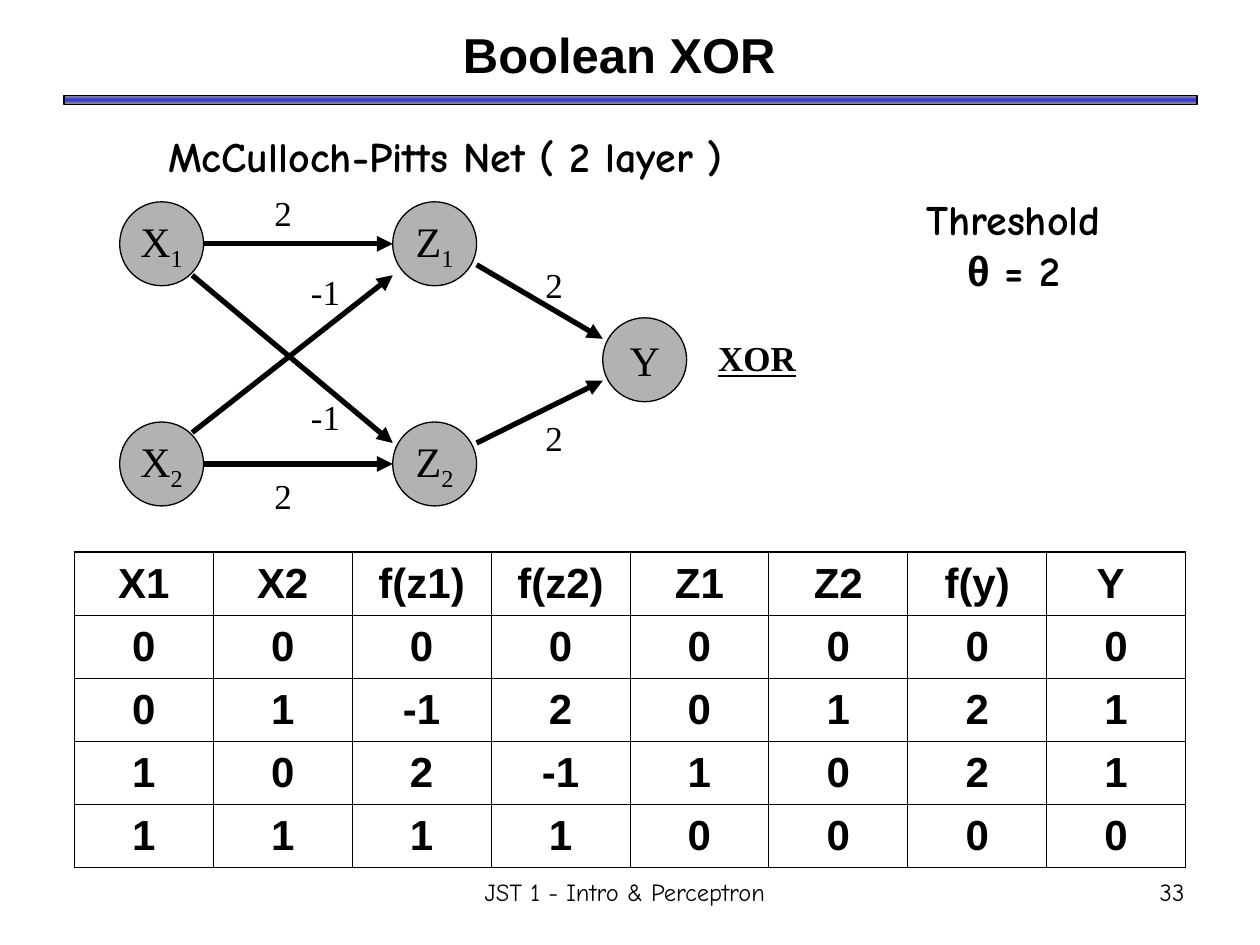
from copy import deepcopy

from lxml import etree
from pptx import Presentation
from pptx.dml.color import RGBColor
from pptx.enum.shapes import MSO_CONNECTOR, MSO_SHAPE
from pptx.enum.text import MSO_ANCHOR, MSO_AUTO_SIZE, PP_ALIGN
from pptx.oxml.ns import qn
from pptx.util import Inches, Pt

STRAIGHT = MSO_CONNECTOR.STRAIGHT
ELLIPSE, RECTANGLE = MSO_SHAPE.OVAL, MSO_SHAPE.RECTANGLE
TOP, MIDDLE = MSO_ANCHOR.TOP, MSO_ANCHOR.MIDDLE
NO_RESIZE = MSO_AUTO_SIZE.NONE
LEFT, CENTER, RIGHT = PP_ALIGN.LEFT, PP_ALIGN.CENTER, PP_ALIGN.RIGHT

SLIDE_WIDTH, SLIDE_HEIGHT = Inches(10), Inches(7.5)
SANS, COMIC, SERIF = "Arial", "Comic Neue", "Times New Roman"
BLACK, NODE_GRAY, BAR_GRAY, BAR_BLUE = "000000", "B2B2B2", "969696", "3333CC"
RADIUS_X, RADIUS_Y = 3.33, 4.44
LABEL_HEIGHT = 5.87
THIN, THICK = 0.45, 1.08

NODES = {
    "X1": (12.83, 25.8),
    "X2": (12.83, 49.1),
    "Z1": (34.5, 25.8),
    "Z2": (34.5, 49.1),
    "Y": (51.17, 38.07),
}
EDGES = [
    ("X1", (1, 0), "Z1", (-1, 0), "2", (22.5, 22.5)),
    ("X2", (1, 0), "Z2", (-1, 0), "2", (22.5, 52.4)),
    ("X2", (0.73, -0.75), "Z1", (-1, 0.75), "-1", (25.85, 30.9)),
    ("X1", (0.73, 0.75), "Z2", (-1, -0.5), "-1", (25.85, 44.1)),
    ("Z1", (1, 0.5), "Y", (-1, -0.5), "2", (44, 30.1)),
    ("Z2", (1, -0.5), "Y", (-1, 0.5), "2", (44, 46.3)),
]
TRUTH_TABLE = [
    ["X1", "X2", "f(z1)", "f(z2)", "Z1", "Z2", "f(y)", "Y "],
    ["0", "0", "0", "0", "0", "0", "0", "0"],
    ["0", "1", "-1", "2", "0", "1", "2", "1"],
    ["1", "0", "2", "-1", "1", "0", "2", "1"],
    ["1", "1", "1", "1", "0", "0", "0", "0"],
]


def color(value):
    return RGBColor.from_string(value)


def across(percent):
    return round(SLIDE_WIDTH * percent / 100)


def down(percent):
    return round(SLIDE_HEIGHT * percent / 100)


def box(left, top, width, height):
    return across(left), down(top), across(width), down(height)


def add_run(paragraph, text, font, size, bold=False, underline=False):
    run = paragraph.add_run()
    run.text = text
    run.font.name = font
    run.font.size = Pt(size)
    run.font.bold = bold
    run.font.underline = underline
    run.font.color.rgb = color(BLACK)
    return run


def add_text(slide, place, align, anchor=MIDDLE, wrap=False):
    frame = slide.shapes.add_textbox(*box(*place)).text_frame
    frame.word_wrap = wrap
    frame.auto_size = NO_RESIZE
    frame.vertical_anchor = anchor
    frame.paragraphs[0].alignment = align
    return frame


def add_line_of_text(slide, place, text, font, size, align, bold=False, **layout):
    frame = add_text(slide, place, align, **layout)
    add_run(frame.paragraphs[0], text, font, size, bold)


def add_shape(slide, kind, place, line_width):
    shape = slide.shapes.add_shape(kind, *box(*place))
    shape.shadow.inherit = False
    shape.line.color.rgb = color(BLACK)
    shape.line.width = Pt(line_width)
    return shape


def add_title_bar(slide):
    bar = add_shape(slide, RECTANGLE, (5.1, 10.1, 89.9, 0.95), 1)
    bar.fill.gradient()
    bar.fill.gradient_angle = 90
    first, middle = bar.fill.gradient_stops
    first.color.rgb, first.position = color(BAR_GRAY), 0
    middle.color.rgb, middle.position = color(BAR_BLUE), 0.5
    stops = bar._element.spPr.find(qn("a:gradFill")).find(qn("a:gsLst"))
    last = deepcopy(stops[0])
    last.set("pos", "100000")
    stops.append(last)


def add_node(slide, name):
    x, y = NODES[name]
    place = x - RADIUS_X, y - RADIUS_Y, 2 * RADIUS_X, 2 * RADIUS_Y
    node = add_shape(slide, ELLIPSE, place, 0.75)
    node.fill.solid()
    node.fill.fore_color.rgb = color(NODE_GRAY)
    frame = node.text_frame
    frame.word_wrap = False
    frame.vertical_anchor = MIDDLE
    paragraph = frame.paragraphs[0]
    paragraph.alignment = CENTER
    add_run(paragraph, name[0], SERIF, 24)
    if name[1:]:
        index = add_run(paragraph, name[1:], SERIF, 24)
        index.font._element.set("baseline", "-25000")


def node_point(name, offset):
    x, y = NODES[name]
    return across(x + offset[0] * RADIUS_X), down(y + offset[1] * RADIUS_Y)


def add_edge(slide, source, source_offset, target, target_offset):
    arrow = slide.shapes.add_connector(
        STRAIGHT, *node_point(source, source_offset), *node_point(target, target_offset)
    )
    arrow.line.color.rgb = color(BLACK)
    arrow.line.width = Pt(3)
    etree.SubElement(arrow.line._get_or_add_ln(), qn("a:tailEnd"), type="triangle")
    etree.SubElement(arrow._element.spPr, qn("a:effectLst"))


def add_weight(slide, weight, center):
    width = 2.5 + 0.9 * len(weight)
    place = center[0] - width / 2, center[1] - LABEL_HEIGHT / 2, width, LABEL_HEIGHT
    add_line_of_text(slide, place, weight, SERIF, 20, LEFT)


def add_network(slide):
    for name in NODES:
        add_node(slide, name)
    for *ends, weight, center in EDGES:
        add_edge(slide, *ends)
        add_weight(slide, weight, center)
    output = add_text(slide, (56, 34.95, 8.2, LABEL_HEIGHT), LEFT)
    add_run(output.paragraphs[0], "XOR", SERIF, 20, bold=True, underline=True)


def add_threshold(slide):
    frame = add_text(slide, (72.5, 19.87, 15.9, 12), CENTER, anchor=TOP)
    add_run(frame.paragraphs[0], "Threshold", COMIC, 24, bold=True)
    paragraph = frame.add_paragraph()
    paragraph.alignment = CENTER
    add_run(paragraph, "θ", SANS, 24, bold=True)
    add_run(paragraph, " = 2", COMIC, 24, bold=True)


def set_borders(cell, widths):
    properties = cell._tc.get_or_add_tcPr()
    for position, (side, width) in enumerate(widths.items()):
        line = etree.Element(qn(f"a:ln{side}"), w=str(Pt(width)))
        fill = etree.SubElement(line, qn("a:solidFill"))
        etree.SubElement(fill, qn("a:srgbClr"), val=BLACK)
        properties.insert(position, line)


def add_truth_table(slide):
    row_count, column_count = len(TRUTH_TABLE), len(TRUTH_TABLE[0])
    place = box(5.9, 58.4, 88.2, 33.4)
    table = slide.shapes.add_table(row_count, column_count, *place).table
    for r, values in enumerate(TRUTH_TABLE):
        for c, value in enumerate(values):
            cell = table.cell(r, c)
            cell.fill.background()
            cell.vertical_anchor = MIDDLE
            paragraph = cell.text_frame.paragraphs[0]
            paragraph.alignment = CENTER
            add_run(paragraph, value, SANS, 24, bold=True)
            outer = {
                "L": c == 0,
                "R": c == column_count - 1,
                "T": r == 0,
                "B": r == row_count - 1,
            }
            set_borders(cell, {s: THICK if edge else THIN for s, edge in outer.items()})


def main():
    presentation = Presentation()
    presentation.slide_width, presentation.slide_height = SLIDE_WIDTH, SLIDE_HEIGHT
    slide = presentation.slides.add_slide(presentation.slide_layouts[6])
    add_title_bar(slide)
    add_line_of_text(slide, (7.5, -0.4, 83.3, 12.27), "Boolean XOR", SANS, 28, CENTER, bold=True, wrap=True)
    add_truth_table(slide)
    add_network(slide)
    add_line_of_text(slide, (12.3, 13.2, 46.1, 6.67), "McCulloch-Pitts Net ( 2 layer )", COMIC, 24, CENTER, bold=True, anchor=TOP)
    add_threshold(slide)
    add_line_of_text(slide, (30, 91.07, 39.2, 6.67), "JST 1 - Intro & Perceptron", COMIC, 14, CENTER, wrap=True)
    add_line_of_text(slide, (74.2, 91.07, 20.8, 6.67), "33", COMIC, 14, RIGHT, wrap=True)
    presentation.save("out.pptx")


if __name__ == "__main__":
    main()
